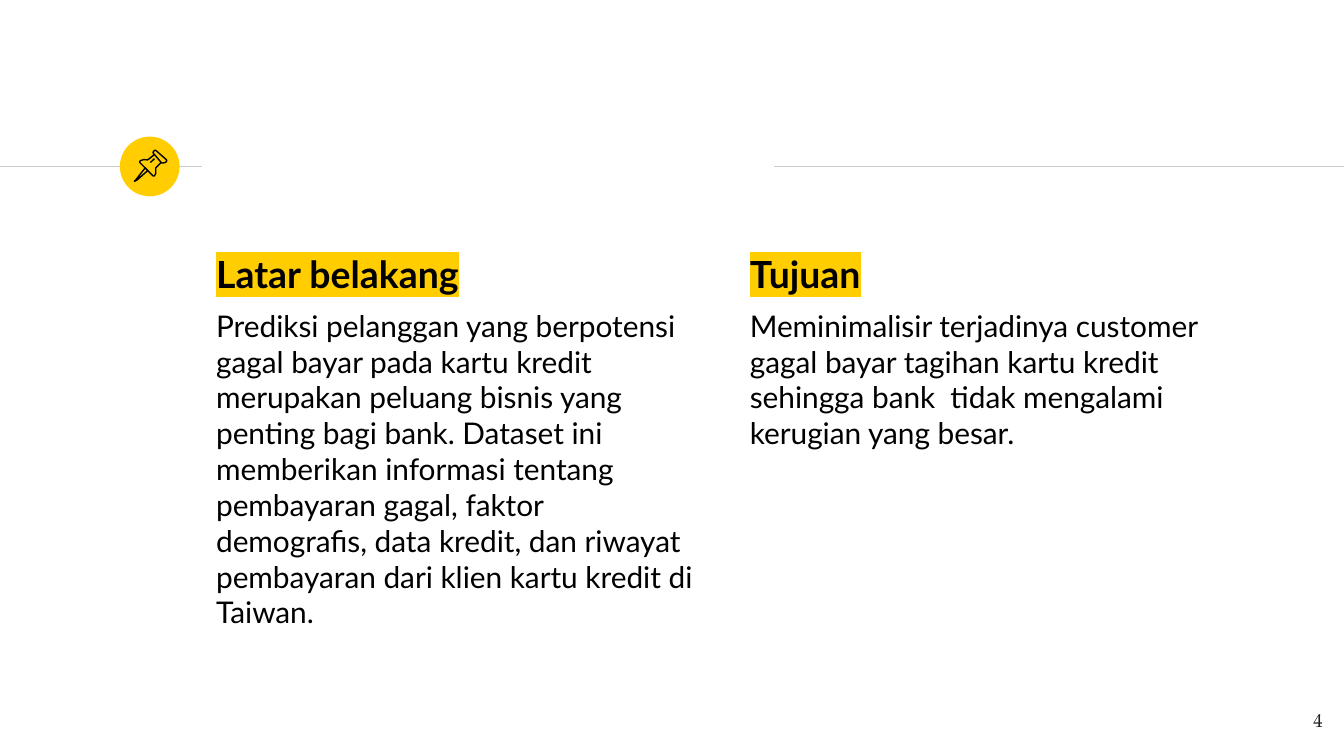
"""Build the background and goals slide."""
from dataclasses import dataclass

from lxml import etree
from pptx import Presentation
from pptx import util as u
from pptx.dml.color import RGBColor
from pptx.enum import shapes, text
from pptx.oxml.ns import qn


@dataclass(frozen=True)
class Theme:
    """Colours, fonts and type sizes."""
    accent: str = "FFCD00"
    ink: str = "000000"
    rule: str = "CCCCCC"
    number: str = "1D1D1B"
    body_font: str = "Lato"
    number_font: str = "TeX Gyre Pagella"
    heading: float = 20
    body: float = 16
    small: float = 10
    stroke: float = 0.75
    inset: float = 7.2


def write(p, content, *, size, color, font, bold=False, highlight=None):
    """Add a formatted run to a paragraph."""
    r = p.add_run()
    r.text = content
    r.font.size = u.Pt(size)
    r.font.bold = bold
    r.font.color.rgb = RGBColor.from_string(color)
    if highlight:
        mark = etree.Element(qn("a:highlight"))
        etree.SubElement(mark, qn("a:srgbClr")).set("val", highlight)
        r.font.fill._xPr.find(qn("a:solidFill")).addnext(mark)
    r.font.name = font


class Deck:
    """Hold the style and the current slide."""

    def __init__(self, theme, s):
        self.theme, self.s = theme, s

    def stroke(self, line, color):
        """Set the colour and width of a line."""
        line.color.rgb = RGBColor.from_string(color)
        line.width = u.Pt(self.theme.stroke)

    def rule(self, x1, x2, y):
        """Draw a horizontal rule."""
        sp = self.s.shapes.add_connector(
            shapes.MSO_CONNECTOR.STRAIGHT, u.Pt(x1), u.Pt(y), u.Pt(x2), u.Pt(y))
        self.stroke(sp.line, self.theme.rule)
        etree.SubElement(sp._element.spPr, qn("a:effectLst"))

    def disc(self, x, y, d):
        """Draw an accent disc."""
        sp = self.s.shapes.add_shape(
            shapes.MSO_SHAPE.OVAL, u.Pt(x), u.Pt(y), u.Pt(d), u.Pt(d))
        sp.shadow.inherit = False
        sp.fill.solid()
        sp.fill.fore_color.rgb = RGBColor.from_string(self.theme.accent)
        sp.line.fill.background()

    def icon(self, outlines):
        """Draw a group of unfilled outlines."""
        group = self.s.shapes.add_group_shape()
        for closed, points in outlines:
            start, *rest = [(u.Pt(x), u.Pt(y)) for x, y in points]
            pen = group.shapes.build_freeform(*start)
            pen.add_line_segments(rest, close=closed)
            sp = pen.convert_to_shape()
            sp.shadow.inherit = False
            sp.fill.background()
            self.stroke(sp.line, self.theme.ink)

    def box(self, x, y, w, h):
        """Add a wrapping text box and return its frame."""
        tf = self.s.shapes.add_textbox(u.Pt(x), u.Pt(y), u.Pt(w), u.Pt(h)).text_frame
        tf.word_wrap = True
        tf.margin_left = tf.margin_right = u.Pt(self.theme.inset)
        tf.margin_top = tf.margin_bottom = u.Pt(self.theme.inset)
        return tf

    def column(self, x, heading, body):
        """Add a highlighted heading with body text below."""
        t = self.theme
        tf = self.box(x, 127.5, 270, 254)
        write(tf.paragraphs[0], heading, size=t.heading, color=t.ink,
              font=t.body_font, bold=True, highlight=t.accent)
        p = tf.add_paragraph()
        p.space_before = u.Pt(6)
        write(p, body, size=t.body, color=t.ink, font=t.body_font)

    def page_number(self, number):
        """Add the page number at the lower right."""
        t = self.theme
        p = self.box(672.5, 373.8, 43.2, 31).paragraphs[0]
        p.alignment = text.PP_ALIGN.RIGHT
        write(p, number, size=t.small, color=t.number, font=t.number_font)


PIN = [
    (True, [(77.8, 90), (72.7, 96.5), (72, 97.2), (73.4, 96.5), (79.2, 91.4)]),
    (True, [(82.8, 82.8), (86.4, 87.1), (87.1, 87.4), (88.6, 87.1), (89.3, 86.4),
            (89.3, 85.7), (83.5, 80.6), (82.8, 80.6), (82.1, 81.4), (82.1, 82.1)]),
    (False, [(82.8, 82.8), (79.2, 85.7), (77, 85.5), (75.6, 86), (74.9, 86.4),
             (74.9, 87.1), (82.1, 94.3), (82.8, 94.3), (83.5, 92.9), (83.5, 90),
             (86.4, 87.1)]),
    (False, [(80.6, 87.1), (82.8, 85)]),
]

COLUMNS = [
    (108.7, "Latar belakang",
     "Prediksi pelanggan yang berpotensi gagal bayar pada kartu kredit merupakan "
     "peluang bisnis yang penting bagi bank. Dataset ini memberikan informasi "
     "tentang pembayaran gagal, faktor demografis, data kredit, dan riwayat "
     "pembayaran dari klien kartu kredit di Taiwan."),
    (394.6, "Tujuan",
     "Meminimalisir terjadinya customer gagal bayar tagihan kartu kredit sehingga "
     "bank  tidak mengalami kerugian yang besar."),
]


def main():
    """Build and save the slide."""
    prs = Presentation()
    prs.slide_width, prs.slide_height = u.Pt(720), u.Pt(405)
    deck = Deck(Theme(), prs.slides.add_slide(prs.slide_layouts[6]))
    deck.rule(0, 108, 89.2)
    deck.disc(64.2, 73.2, 32)
    deck.rule(414.7, 720, 89.2)
    for column in COLUMNS:
        deck.column(*column)
    deck.icon(PIN)
    deck.page_number("4")
    prs.save("out.pptx")


if __name__ == "__main__":
    main()
